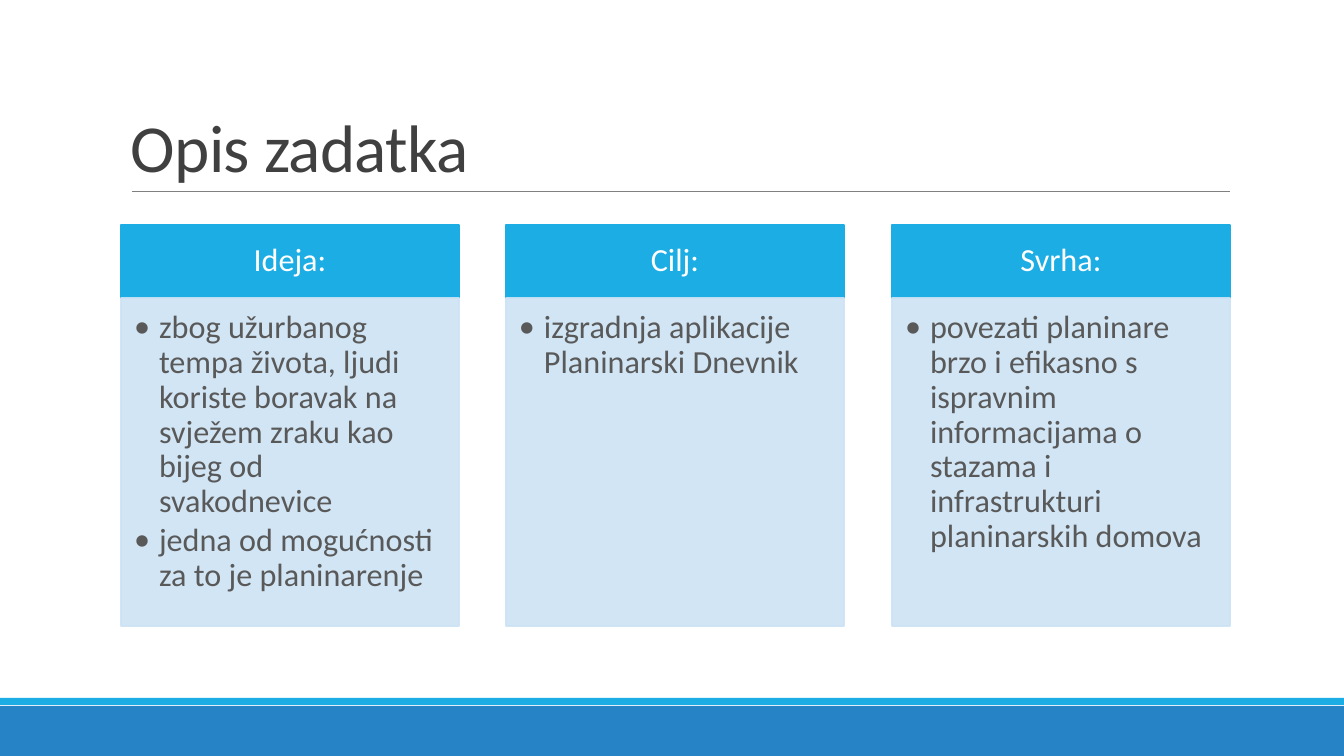
from lxml import etree
from pptx import Presentation
from pptx.dml.color import RGBColor
from pptx.enum.shapes import MSO_CONNECTOR, MSO_SHAPE
from pptx.enum.text import MSO_ANCHOR, PP_ALIGN
from pptx.oxml.ns import qn
from pptx.util import Pt

RECT, LINE = MSO_SHAPE.RECTANGLE, MSO_CONNECTOR.STRAIGHT
TOP, MIDDLE, BOTTOM = MSO_ANCHOR.TOP, MSO_ANCHOR.MIDDLE, MSO_ANCHOR.BOTTOM
LEFT, CENTER = PP_ALIGN.LEFT, PP_ALIGN.CENTER

SCALE = 914400 / 100.8
FONT = "Calibri"
CYAN, BLUE, PALE = "1CADE4", "2683C6", "CDE3F5"
WHITE, DARK, GREY, RULE = "FFFFFF", "404040", "595959", "808080"

# Column grid
START, PITCH, WIDTH = 121, 385.5, 338
HEAD_TOP, HEAD_TALL = 225, 73
BODY_TOP, BODY_TALL = 298, 328
INDENT = 25

COLUMNS = [
    ("Ideja:", ["zbog užurbanog tempa života, ljudi koriste boravak na "
                "svježem zraku kao bijeg od svakodnevice",
                "jedna od mogućnosti za to je planinarenje"]),
    ("Cilj:", ["izgradnja aplikacije Planinarski Dnevnik"]),
    ("Svrha:", ["povezati planinare brzo i efikasno s ispravnim "
                "informacijama o stazama i infrastrukturi "
                "planinarskih domova"]),
]


def px(n):
    return round(n * SCALE)


def color(text):
    return RGBColor.from_string(text)


def apply(target, values):
    for name, value in values.items():
        setattr(target, name, value)


def add_box(slide, area, fill, edge=None, alpha=None):
    box = slide.shapes.add_shape(RECT, *map(px, area))
    box.shadow.inherit = False
    box.fill.solid()
    box.fill.fore_color.rgb = color(fill)
    if edge:
        box.line.color.rgb = color(fill)
        box.line.width = Pt(edge)
    else:
        box.line.fill.background()
    if alpha:
        for tint in box._element.spPr.iter(qn("a:srgbClr")):
            etree.SubElement(tint, qn("a:alpha"), val=str(alpha * 1000))
    return box


def add_text(shape, lines, font, para, anchor, insets):
    frame = shape.text_frame
    sides = ("margin_left", "margin_top", "margin_right", "margin_bottom")
    apply(frame, {"word_wrap": True, "vertical_anchor": anchor,
                  **dict(zip(sides, map(px, insets)))})
    for i, line in enumerate(lines):
        item = frame.paragraphs[0] if i == 0 else frame.add_paragraph()
        apply(item, para)
        run = item.add_run()
        run.text = line
        apply(run.font, {"name": FONT, "size": Pt(font["size"])})
        run.font.color.rgb = color(font["color"])
    return frame


def add_bullets(frame):
    for item in frame.paragraphs:
        props = item._p.get_or_add_pPr()
        props.set("marL", str(px(INDENT)))
        props.set("indent", str(-px(INDENT)))
        etree.SubElement(props, qn("a:buFont"), typeface=FONT)
        etree.SubElement(props, qn("a:buChar"), char="•")


def add_rule(slide, left, right, y):
    rule = slide.shapes.add_connector(LINE, px(left), px(y), px(right), px(y))
    rule.line.color.rgb = color(RULE)
    rule.line.width = Pt(0.5)
    etree.SubElement(rule._element.spPr, qn("a:effectLst"))


def add_title(slide, text):
    box = slide.shapes.add_textbox(*map(px, (121, 31, 1109, 160)))
    frame = add_text(box, [text], {"size": 48, "color": DARK},
                     {"line_spacing": 0.85}, BOTTOM, (10, 5, 10, 5))
    # Tighter letter spacing
    frame.paragraphs[0].runs[0]._r.get_or_add_rPr().set("spc", "-50")


def add_column(slide, left, head, points):
    top = add_box(slide, (left, HEAD_TOP, WIDTH, HEAD_TALL), CYAN, 1.25)
    add_text(top, [head], {"size": 23, "color": WHITE},
             {"alignment": CENTER, "line_spacing": 0.9},
             MIDDLE, (18, 10, 18, 10))
    body = add_box(slide, (left, BODY_TOP, WIDTH, BODY_TALL), PALE, 1.25, 90)
    frame = add_text(body, points, {"size": 23, "color": GREY},
                     {"alignment": LEFT, "line_spacing": 0.9,
                      "space_after": Pt(3)}, TOP, (13, 13, 18, 20))
    add_bullets(frame)


def main():
    deck = Presentation()
    apply(deck, {"slide_width": px(1344), "slide_height": px(756)})
    slide = deck.slides.add_slide(deck.slide_layouts[6])

    # Footer bands
    add_box(slide, (0, 706, 1344, 50), BLUE)
    add_box(slide, (0, 698, 1344, 7), CYAN)

    # Title and rule
    add_rule(slide, 132, 1230, 191)
    add_title(slide, "Opis zadatka")

    # Three columns
    for i, (head, points) in enumerate(COLUMNS):
        add_column(slide, round(START + i * PITCH), head, points)

    deck.save("out.pptx")


main()
